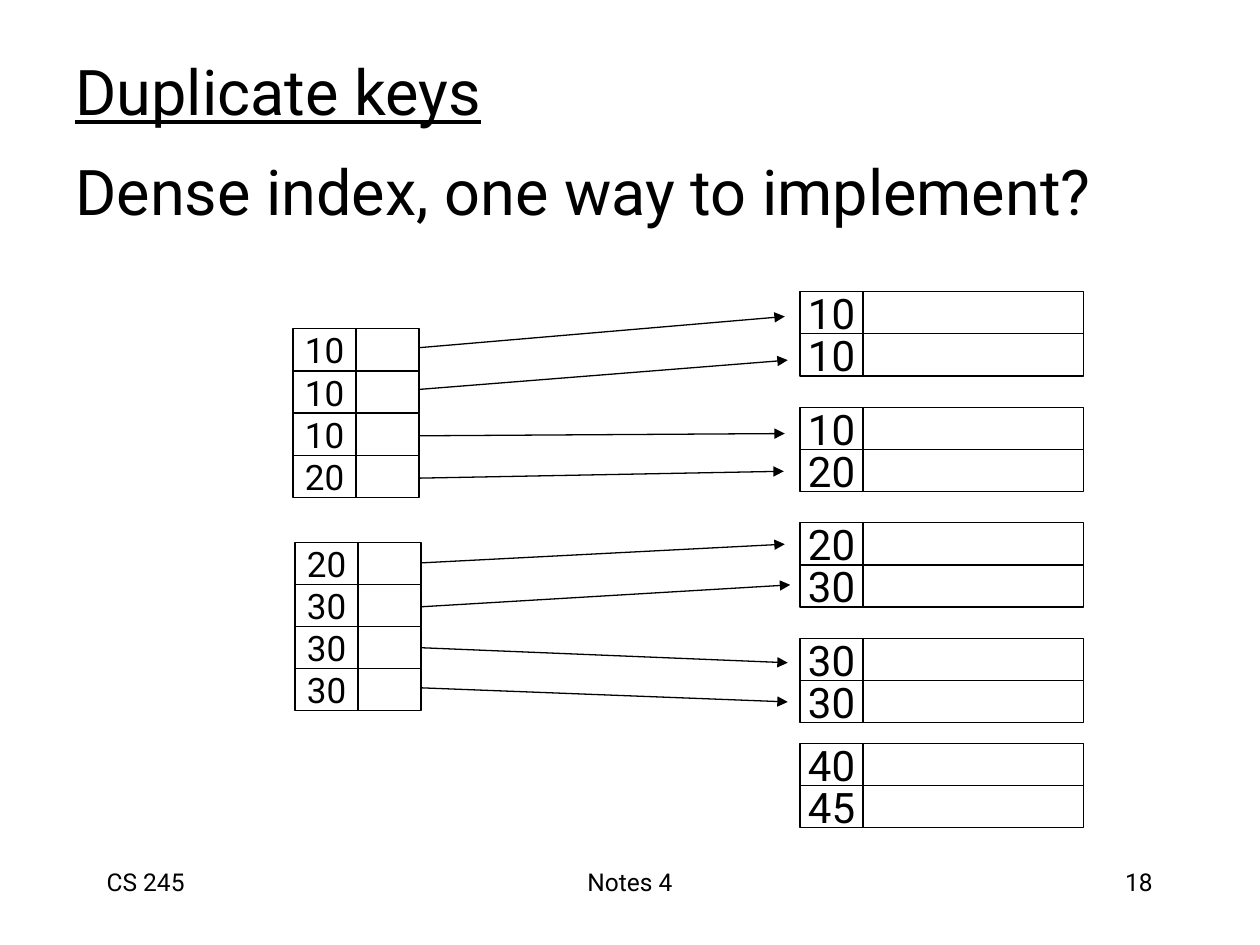
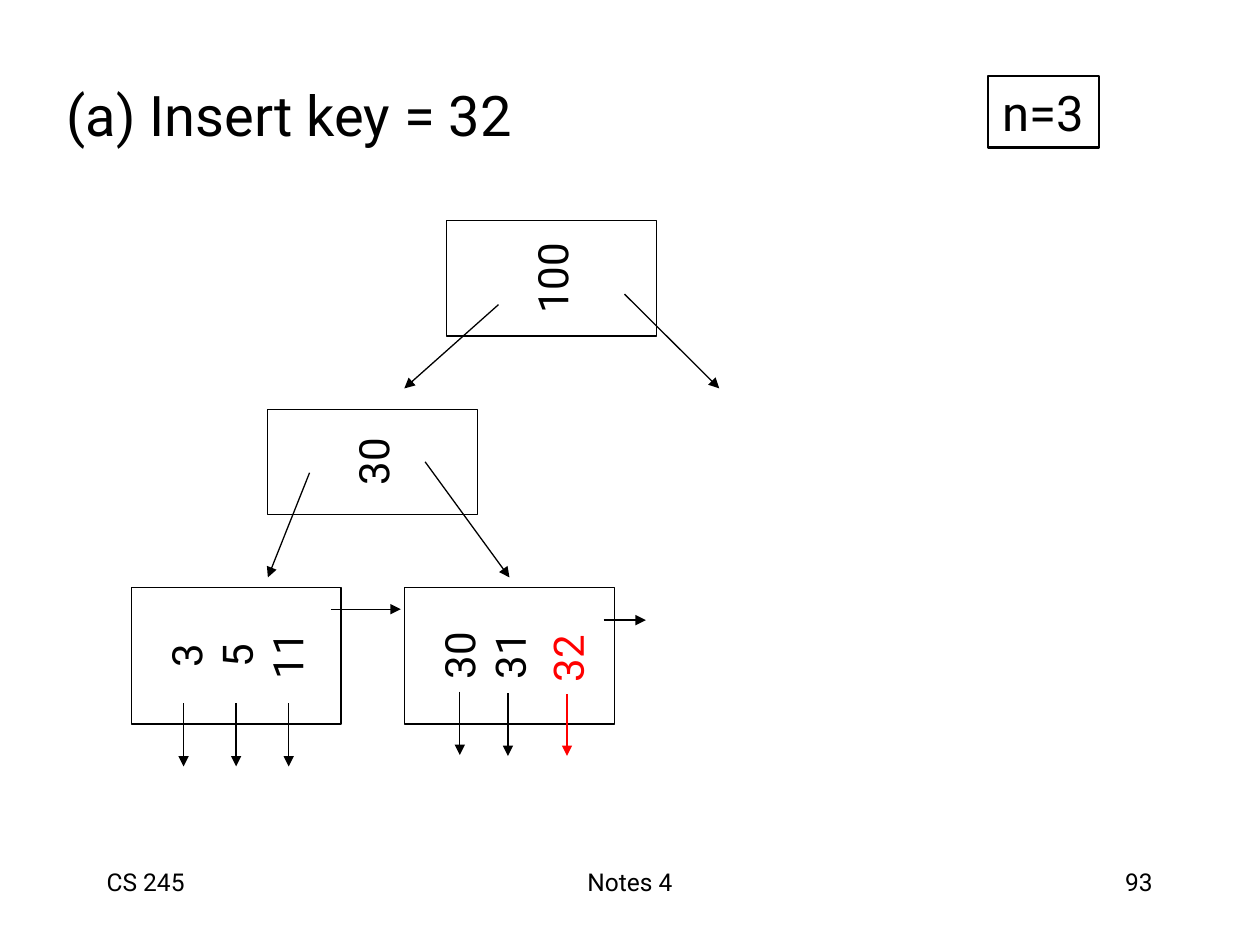
"""Build two lecture slides: a dense index with duplicate keys and a B+tree insertion."""

from dataclasses import dataclass
from typing import Any, NamedTuple, Optional

from lxml.etree import SubElement
from pptx import Presentation
from pptx.dml.color import RGBColor
from pptx.enum.shapes import MSO_CONNECTOR as Link, MSO_SHAPE as Preset
from pptx.enum.text import MSO_ANCHOR as Anchor, PP_ALIGN as Align
from pptx.oxml.ns import qn
from pptx.slide import Slide
from pptx.util import Cm, Pt


@dataclass(frozen=True)
class Theme:
    """Colours, type sizes and line widths shared by the slides."""

    font: str = "Roboto"
    ink: RGBColor = RGBColor(0x00, 0x00, 0x00)
    paper: RGBColor = RGBColor(0xFF, 0xFF, 0xFF)
    inserted: RGBColor = RGBColor(0xFF, 0x00, 0x00)
    heading: float = 36
    step: float = 32
    order: float = 28
    key: float = 24
    index_key: float = 20
    footer: float = 14
    hairline: float = 0.75
    frame: float = 1.5


THEME = Theme()
ROW_HEIGHT = 0.85
KEY_WIDTH = 1.27
NODE_WIDTH = 4.23
KEY_PITCH = 1.03


class Area(NamedTuple):
    """A rectangle in centimetres."""

    left: float
    top: float
    width: float
    height: float


class Arrow(NamedTuple):
    """An arrow from one point to another, in centimetres."""

    x1: float
    y1: float
    x2: float
    y2: float
    color: RGBColor = THEME.ink


class Block(NamedTuple):
    """A stack of rows, each with a key cell and a second cell."""

    left: float
    top: float
    keys: tuple[str, ...]
    second_width: float
    size: float


class Node(NamedTuple):
    """A tree node whose keys read upwards."""

    center_x: float
    center_y: float
    height: float
    keys: tuple[str, ...]
    free_slots: int = 0


class Footer(NamedTuple):
    """One of the three footer fields."""

    area: Area
    align: Align


FOOTERS = (
    Footer(Area(1.9, 17.35, 5.29, 1.27), Align.LEFT),
    Footer(Area(8.68, 17.35, 8.04, 1.27), Align.CENTER),
    Footer(Area(18.2, 17.35, 5.29, 1.27), Align.RIGHT),
)

INDEX_BLOCKS = (
    Block(5.91, 6.63, ("10", "10", "10", "20"), KEY_WIDTH, THEME.index_key),
    Block(5.95, 10.93, ("20", "30", "30", "30"), KEY_WIDTH, THEME.index_key),
)
RECORD_TOPS = [5.88 + 2.33 * page for page in range(4)] + [14.99]
RECORD_KEYS = (("10", "10"), ("10", "20"), ("20", "30"), ("30", "30"), ("40", "45"))
RECORD_BLOCKS = [
    Block(16.13, top, keys, 4.45, THEME.key) for top, keys in zip(RECORD_TOPS, RECORD_KEYS)
]
INDEX_ARROWS = (
    Arrow(7.85, 7.06, 15.82, 6.38),
    Arrow(7.82, 7.9, 15.88, 7.26),
    Arrow(7.82, 8.79, 15.82, 8.74),
    Arrow(7.85, 9.65, 15.8, 9.5),
    Arrow(7.85, 11.38, 15.82, 10.97),
    Arrow(7.85, 12.27, 15.93, 11.79),
    Arrow(7.82, 13.03, 15.88, 13.36),
    Arrow(7.82, 13.84, 15.88, 14.15),
)

TREE_NODES = (
    Node(4.76, 13.22, 2.75, ("3", "5", "11")),
    Node(10.27, 13.22, 2.75, ("30", "31"), free_slots=1),
    Node(7.51, 9.31, 2.12, ("30",)),
    Node(11.12, 5.61, 2.33, ("100",)),
)
TREE_ARROWS = (
    Arrow(10.05, 6.14, 8.15, 7.83),
    Arrow(12.59, 5.93, 14.5, 7.83),
    Arrow(6.24, 9.53, 5.4, 11.64),
    Arrow(8.57, 9.31, 10.27, 11.64),
    Arrow(6.67, 12.28, 8.08, 12.28),
    Arrow(12.17, 12.5, 13.02, 12.5),
    *(Arrow(x, 14.18, x, 15.45) for x in (3.7, 4.76, 5.82)),
    Arrow(9.27, 13.94, 9.27, 15.22),
    Arrow(10.24, 13.97, 10.24, 15.24),
    Arrow(11.43, 14, 11.43, 15.24, THEME.inserted),
)


def apply(target: Any, formats: dict[str, Any]) -> None:
    """Set every format value on the target."""
    for attribute, value in formats.items():
        setattr(target, attribute, value)


def write(
    shape: Any,
    lines: tuple[str, ...],
    size: float,
    align: Align = Align.CENTER,
    anchor: Anchor = Anchor.MIDDLE,
    wrap: bool = False,
    underline: Optional[bool] = None,
    color: RGBColor = THEME.ink,
) -> None:
    """Fill a shape with one paragraph per line."""
    frame = shape.text_frame
    apply(frame, {
        "word_wrap": wrap, "vertical_anchor": anchor,
        "margin_left": Cm(0.25), "margin_right": Cm(0.25),
        "margin_top": Cm(0.13), "margin_bottom": Cm(0.13),
    })
    frame.text = "\n".join(lines)
    for paragraph in frame.paragraphs:
        paragraph.alignment = align
        for run in paragraph.runs:
            apply(run.font, {"name": THEME.font, "size": Pt(size), "underline": underline})
            run.font.color.rgb = color


def add_text(slide: Slide, area: Area, text: str, size: float, **formats: Any) -> Any:
    """Add a text box with one line of text."""
    box = slide.shapes.add_textbox(*map(Cm, area))
    write(box, (text,), size, **formats)
    return box


def add_cell(slide: Slide, area: Area, line_width: float = THEME.hairline) -> Any:
    """Add a white rectangle with a black outline."""
    cell = slide.shapes.add_shape(Preset.RECTANGLE, *map(Cm, area))
    cell.shadow.inherit = False
    cell.fill.solid()
    cell.fill.fore_color.rgb = THEME.paper
    cell.line.color.rgb = THEME.ink
    cell.line.width = Pt(line_width)
    return cell


def add_arrow(slide: Slide, arrow: Arrow) -> None:
    """Add a straight line with a triangular head at its end."""
    ends = map(Cm, (arrow.x1, arrow.y1, arrow.x2, arrow.y2))
    pointer = slide.shapes.add_connector(Link.STRAIGHT, *ends)
    pointer.line.color.rgb = arrow.color
    pointer.line.width = Pt(THEME.hairline)
    SubElement(pointer.line._get_or_add_ln(), qn("a:tailEnd"), type="triangle")
    SubElement(pointer._element.spPr, qn("a:effectLst"))


def add_block(slide: Slide, block: Block) -> None:
    """Add the rows of an index or record block."""
    for row, key in enumerate(block.keys):
        top = block.top + row * ROW_HEIGHT
        key_cell = add_cell(slide, Area(block.left, top, KEY_WIDTH, ROW_HEIGHT))
        write(key_cell, (key,), block.size)
        add_cell(slide, Area(block.left + KEY_WIDTH, top, block.second_width, ROW_HEIGHT))


def upright_area(center_x: float, center_y: float, width: float, height: float) -> Area:
    """Give the frame that covers width by height after a quarter turn."""
    return Area(center_x - height / 2, center_y - width / 2, height, width)


def add_node(slide: Slide, node: Node) -> None:
    """Add a tree node, keeping room for its free key slots."""
    area = upright_area(node.center_x, node.center_y, NODE_WIDTH, node.height)
    box = add_cell(slide, area)
    box.rotation = 270
    write(box, node.keys, THEME.key)
    box.text_frame.margin_bottom = Cm(0.13 + node.free_slots * KEY_PITCH)


def add_slide(deck: Any, number: int) -> Slide:
    """Add a blank slide with the shared footer."""
    slide = deck.slides.add_slide(deck.slide_layouts[6])
    for footer, text in zip(FOOTERS, ("CS 245", "Notes 4", str(number))):
        add_text(slide, footer.area, text, THEME.footer,
                 align=footer.align, anchor=Anchor.TOP, wrap=True)
    return slide


def build_duplicate_keys(deck: Any) -> None:
    """Build the dense index slide."""
    slide = add_slide(deck, 18)
    for arrow in INDEX_ARROWS:
        add_arrow(slide, arrow)
    for block in (*RECORD_BLOCKS, *INDEX_BLOCKS):
        add_block(slide, block)
    heading = {"size": THEME.heading, "align": Align.LEFT, "wrap": True}
    add_text(slide, Area(1.27, 2.54, 22.02, 2.59),
             "Dense index, one way to implement?", **heading)
    add_text(slide, Area(1.27, 0.85, 9.31, 1.95), "Duplicate keys", underline=True, **heading)


def build_insert_key(deck: Any) -> None:
    """Build the B+tree insertion slide."""
    slide = add_slide(deck, 93)
    add_text(slide, Area(1.09, 1.5, 21.59, 1.65), "(a) Insert key = 32", THEME.step,
             align=Align.LEFT, anchor=Anchor.TOP, wrap=True)
    order = add_cell(slide, Area(19.92, 1.53, 2.24, 1.45), THEME.frame)
    write(order, ("n=3",), THEME.order)
    for node in TREE_NODES:
        add_node(slide, node)
    inserted_key = add_text(slide, upright_area(11.43, 13.28, 1.27, 1.48), "32",
                            THEME.key, color=THEME.inserted)
    inserted_key.rotation = 270
    for arrow in TREE_ARROWS:
        add_arrow(slide, arrow)


def main() -> None:
    """Build and save the deck."""
    deck = Presentation()
    apply(deck, {"slide_width": Cm(25.4), "slide_height": Cm(19.05)})
    build_duplicate_keys(deck)
    build_insert_key(deck)
    deck.save("out.pptx")


if __name__ == "__main__":
    main()
